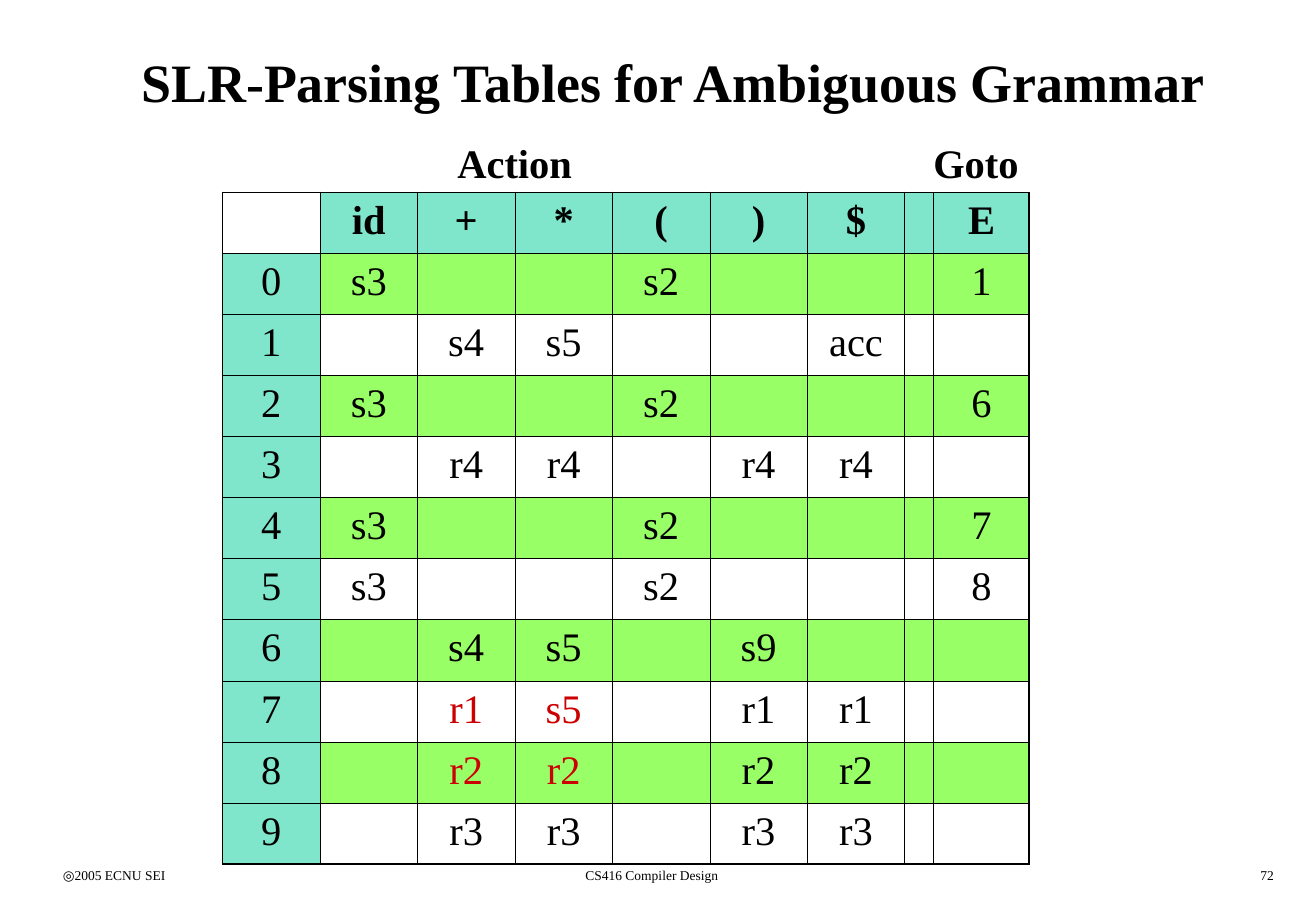
from dataclasses import dataclass
from lxml import etree
from pptx import Presentation
from pptx.dml.color import RGBColor
from pptx.enum.text import MSO_ANCHOR, MSO_AUTO_SIZE, PP_ALIGN
from pptx.oxml.ns import qn
from pptx.util import Pt

LEFT, CENTER, RIGHT = PP_ALIGN.LEFT, PP_ALIGN.CENTER, PP_ALIGN.RIGHT
TOP, MIDDLE = MSO_ANCHOR.TOP, MSO_ANCHOR.MIDDLE
FIT_SHAPE, FIXED_SHAPE = MSO_AUTO_SIZE.SHAPE_TO_FIT_TEXT, MSO_AUTO_SIZE.NONE


@dataclass(frozen=True)
class Theme:
    font: str = "Times New Roman"
    ink: str = "000000"
    conflict: str = "CC0000"
    heading_fill: str = "00CC99"
    heading_opacity: int = 50
    band_fill: str = "99FF66"
    title_size: float = 32
    table_size: float = 24
    footer_size: float = 8
    inner_line: float = 0.45
    outer_line: float = 1.08


THEME = Theme()
TITLE = "SLR-Parsing Tables for Ambiguous Grammar"
SYMBOLS = ["", "id", "+", "*", "(", ")", "$", "", "E"]
STATES = [
    ["0", "s3", "", "", "s2", "", "", "", "1"],
    ["1", "", "s4", "s5", "", "", "acc", "", ""],
    ["2", "s3", "", "", "s2", "", "", "", "6"],
    ["3", "", "r4", "r4", "", "r4", "r4", "", ""],
    ["4", "s3", "", "", "s2", "", "", "", "7"],
    ["5", "s3", "", "", "s2", "", "", "", "8"],
    ["6", "", "s4", "s5", "", "s9", "", "", ""],
    ["7", "", "r1", "s5", "", "r1", "r1", "", ""],
    ["8", "", "r2", "r2", "", "r2", "r2", "", ""],
    ["9", "", "r3", "r3", "", "r3", "r3", "", ""],
]
BANDED_STATES = {"0", "2", "4", "6", "8"}
CONFLICT_STATES = {"7", "8"}
CONFLICT_SYMBOLS = {"+", "*"}
COLUMN_WIDTHS = [57.8] * 7 + [17.2, 56.6]


def write(frame, text, size, align=LEFT, bold=False, color=THEME.ink):
    frame.text = text
    paragraph = frame.paragraphs[0]
    paragraph.alignment = align
    for run in paragraph.runs:
        run.font.name = THEME.font
        run.font.size = Pt(size)
        run.font.bold = bold
        run.font.color.rgb = RGBColor.from_string(color)


def add_label(slide, box, text, size, align=LEFT, bold=False, wrap=True):
    label = slide.shapes.add_textbox(*map(Pt, box))
    label.text_frame.word_wrap = wrap
    label.text_frame.auto_size = FIXED_SHAPE if wrap else FIT_SHAPE
    write(label.text_frame, text, size, align, bold)


def place_title(slide, box):
    title = slide.shapes.title
    title.left, title.top, title.width, title.height = map(Pt, box)
    title.text_frame.vertical_anchor = MIDDLE
    write(title.text_frame, TITLE, THEME.title_size, CENTER, True)


def set_borders(cell, outer_sides):
    properties = cell._tc.get_or_add_tcPr()
    for position, side in enumerate("LRTB"):
        width = THEME.outer_line if side in outer_sides else THEME.inner_line
        line = etree.Element(qn(f"a:ln{side}"), w=str(Pt(width)))
        fill = etree.SubElement(line, qn("a:solidFill"))
        etree.SubElement(fill, qn("a:srgbClr"), val=THEME.ink)
        properties.insert(position, line)


def fill_cell(cell, is_heading, is_banded):
    if not (is_heading or is_banded):
        cell.fill.background()
        return
    cell.fill.solid()
    color = THEME.heading_fill if is_heading else THEME.band_fill
    cell.fill.fore_color.rgb = RGBColor.from_string(color)
    if is_heading:
        tint = cell._tc.tcPr.find(".//" + qn("a:srgbClr"))
        etree.SubElement(tint, qn("a:alpha"), val=str(THEME.heading_opacity * 1000))


def add_parsing_table(slide, box):
    rows = [SYMBOLS] + STATES
    last_row, last_column = len(rows) - 1, len(SYMBOLS) - 1
    table = slide.shapes.add_table(len(rows), len(SYMBOLS), *map(Pt, box)).table
    table.first_row = table.horz_banding = False
    for column, width in zip(table.columns, COLUMN_WIDTHS):
        column.width = Pt(width)
    for r, entries in enumerate(rows):
        table.rows[r].height = Pt(box[3] / len(rows))
        state = entries[0]
        for c, entry in enumerate(entries):
            cell = table.cell(r, c)
            is_conflict = state in CONFLICT_STATES and SYMBOLS[c] in CONFLICT_SYMBOLS
            write(cell.text_frame, entry, THEME.table_size, CENTER, r == 0,
                  THEME.conflict if is_conflict else THEME.ink)
            cell.vertical_anchor = TOP
            fill_cell(cell, (r == 0) != (c == 0), state in BANDED_STATES)
            edges = {"L": c == 0, "R": c == last_column, "T": r == 0, "B": r == last_row}
            set_borders(cell, {side for side, is_outer in edges.items() if is_outer})


def add_table_captions(slide, box):
    left, top, _, height = box
    for text, offset, width in (("Action", 132.2, 86), ("Goto", 414.4, 68)):
        add_label(slide, (left + offset, top, width, height), text,
                  THEME.table_size, bold=True, wrap=False)


def add_footer(slide, box):
    left, top, width, height = box
    side_width, course_offset, course_width = 162.7, 210.3, 292.3
    parts = (
        ("◎2005 ECNU SEI", 0, side_width, LEFT),
        ("CS416 Compiler Design", course_offset, course_width, CENTER),
        ("72", width - side_width, side_width, RIGHT),
    )
    for text, offset, part_width, align in parts:
        add_label(slide, (left + offset, top, part_width, height), text,
                  THEME.footer_size, align)


def main():
    deck = Presentation()
    deck.slide_width, deck.slide_height = Pt(780.48), Pt(540)
    slide = deck.slides.add_slide(deck.slide_layouts[5])
    add_footer(slide, (30.2, 510.2, 732.5, 18))
    place_title(slide, (30.4, 12.2, 738, 72))
    add_parsing_table(slide, (132, 114, sum(COLUMN_WIDTHS), 398.4))
    add_table_captions(slide, (132, 78, sum(COLUMN_WIDTHS), 36))
    deck.save("out.pptx")


if __name__ == "__main__":
    main()
